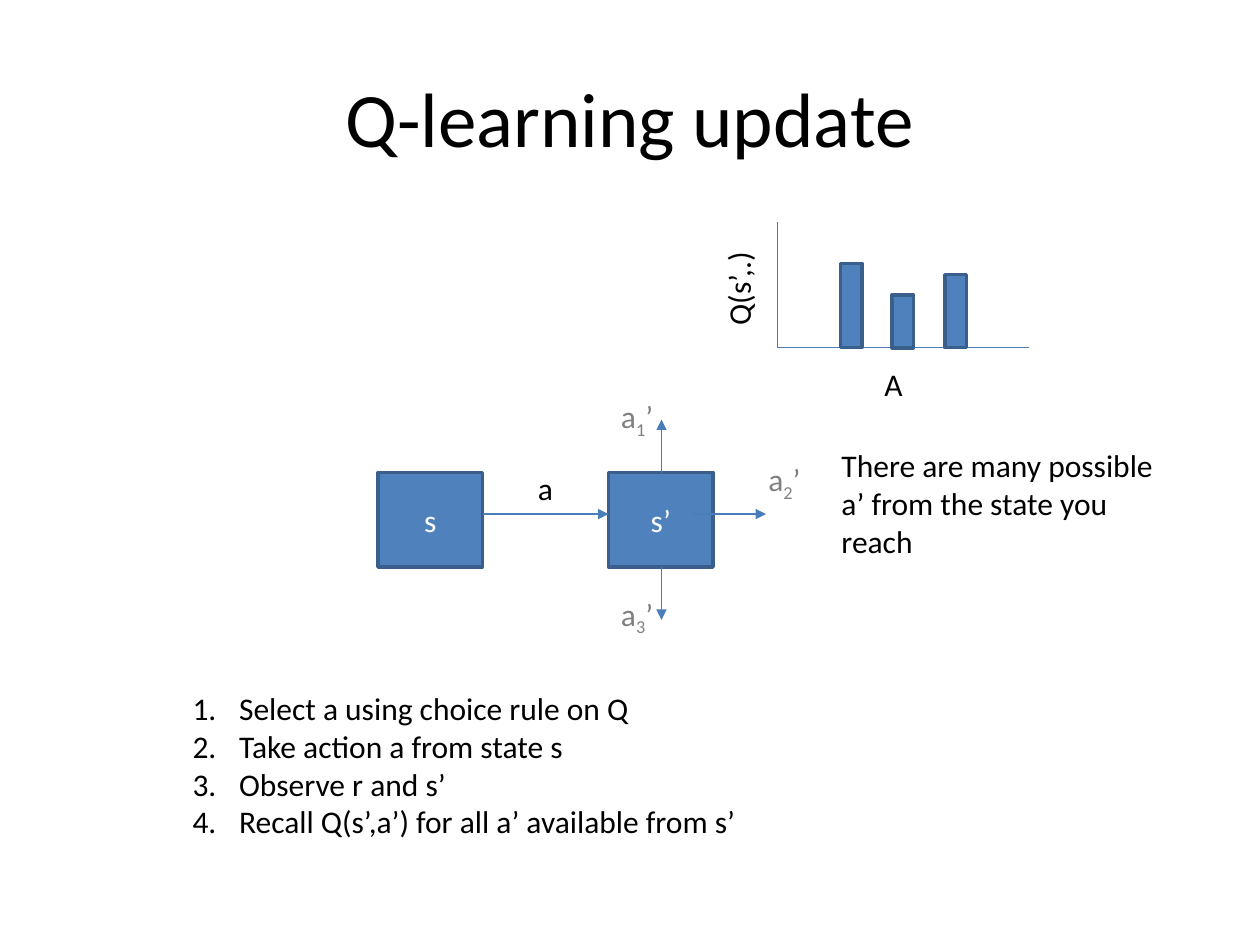
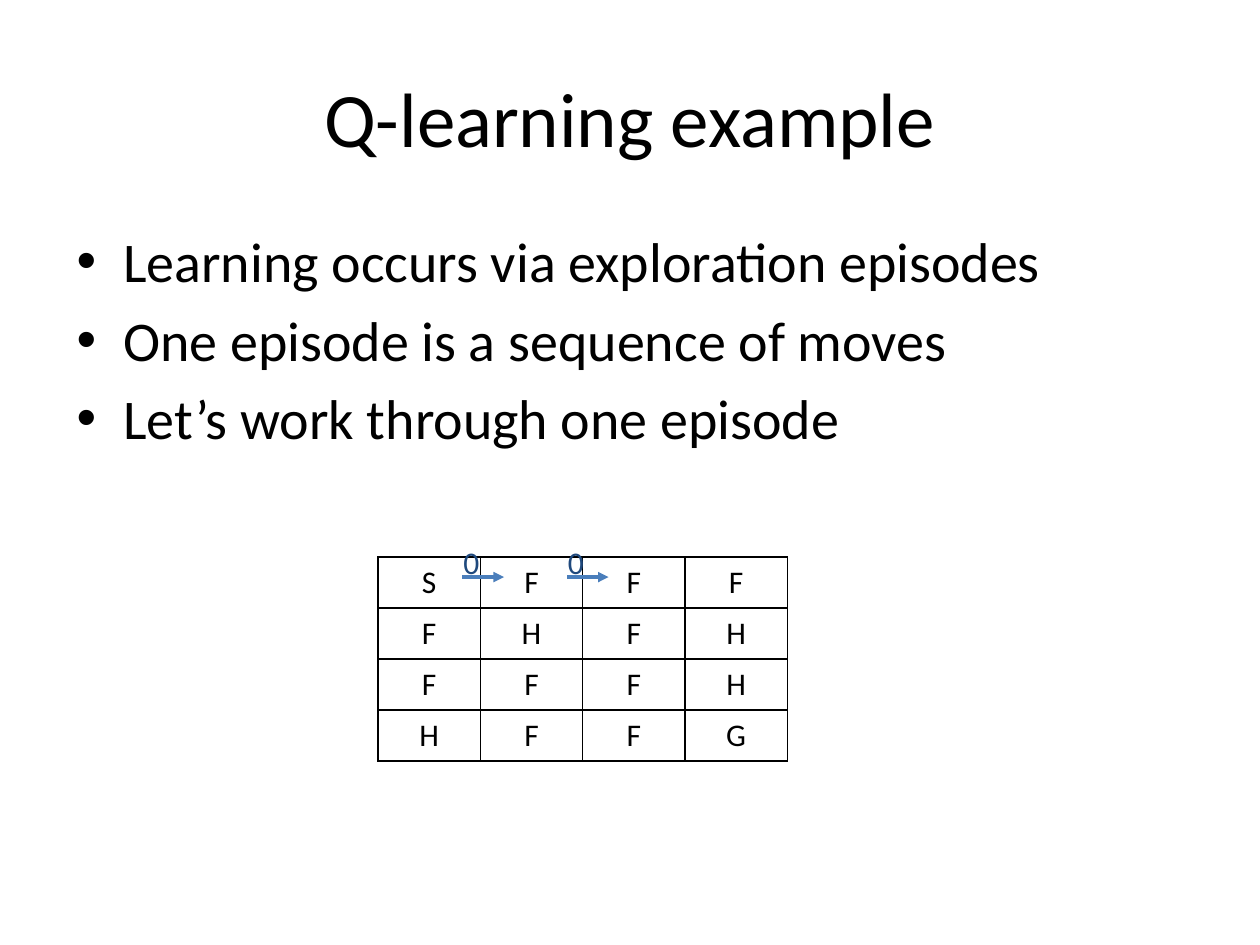
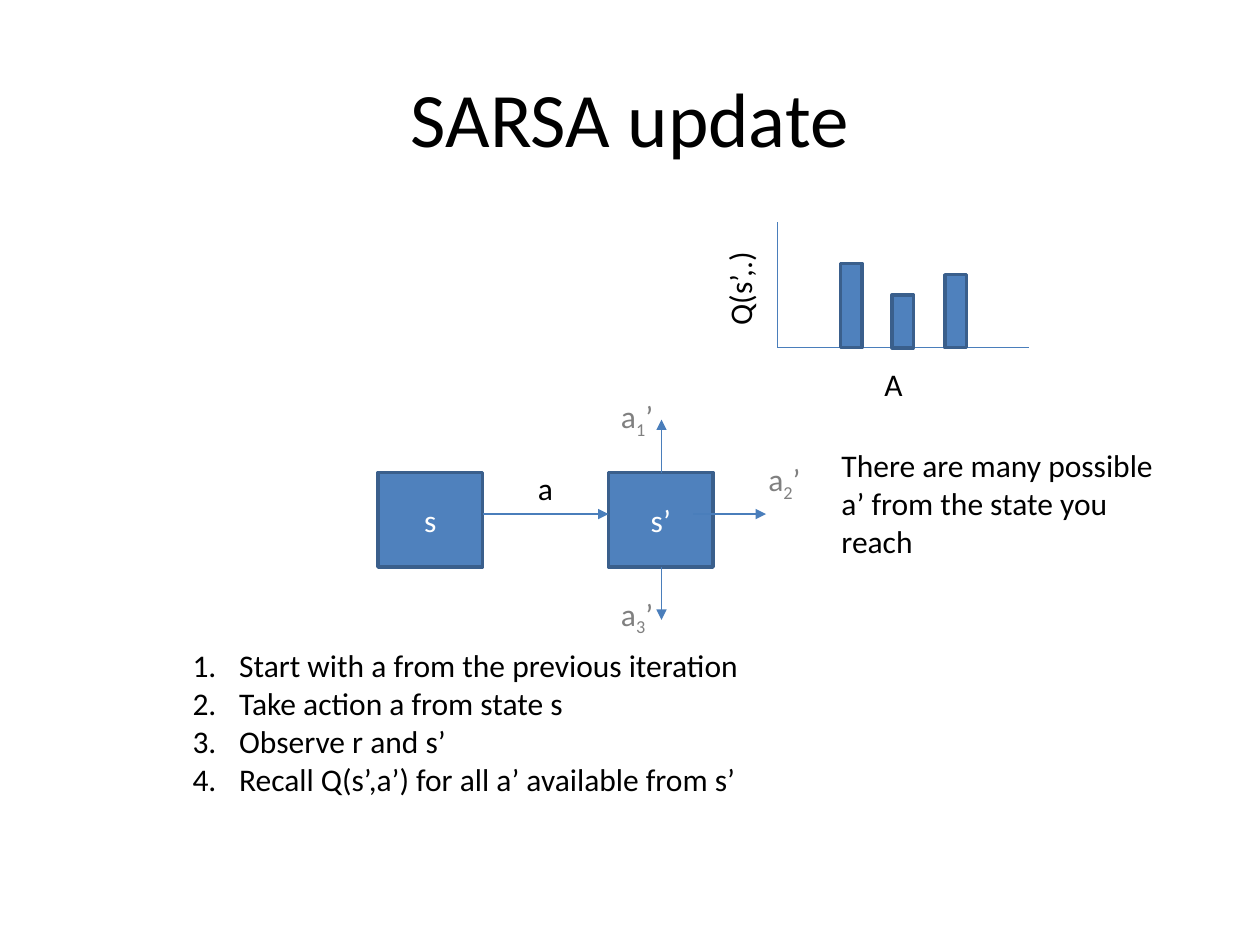
from dataclasses import dataclass

from lxml import etree
from pptx import Presentation
from pptx import util as u
from pptx.dml.color import RGBColor
from pptx.enum import shapes, text
from pptx.oxml import ns


@dataclass(frozen=True)
class Theme:
    font: str = "Calibri"
    title_size: int = 44
    body_size: int = 32
    label_size: int = 18
    ink: str = "000000"
    muted: str = "808080"
    reward: str = "1F497D"
    on_fill: str = "FFFFFF"
    fill: str = "4F81BD"
    outline: str = "3A5F8C"
    stroke: str = "4A7EBB"
    thin: float = 0.75
    thick: float = 2
    grid: float = 0.96


theme = Theme()
CENTER = text.PP_ALIGN.CENTER
MIDDLE = text.MSO_ANCHOR.MIDDLE


def write(frame, paragraphs, size=theme.label_size, color=theme.ink, align=None, bullet=None, before=None):
    """Fill a frame; a paragraph is a list of runs, and a run starting with _ is a subscript.

    bullet is the tag and attributes of the bullet element, before the space above in points.
    """
    frame.word_wrap = True
    for index, runs in enumerate(paragraphs):
        paragraph = frame.add_paragraph() if index else frame.paragraphs[0]
        paragraph.alignment = align
        if before:
            paragraph.space_before = u.Pt(before)
        if bullet:
            tag, attributes = bullet
            properties = paragraph._p.get_or_add_pPr()
            properties.set("marL", str(u.Inches(0.38)))
            properties.set("indent", str(u.Inches(-0.37)))
            etree.SubElement(properties, ns.qn("a:buFont"), typeface="Arial" if tag == "a:buChar" else "+mj-lt")
            etree.SubElement(properties, ns.qn(tag), attributes)
        for words in runs:
            run = paragraph.add_run()
            run.text = words.removeprefix("_")
            run.font.name = theme.font
            run.font.size = u.Pt(size)
            run.font.color.rgb = RGBColor.from_string(color)
            if words.startswith("_"):
                run._r.get_or_add_rPr().set("baseline", "-25000")


def draw_line(slide, x1, y1, x2, y2, width=theme.thin, arrow=True):
    line = slide.shapes.add_connector(shapes.MSO_CONNECTOR.STRAIGHT, *map(u.Inches, (x1, y1, x2, y2)))
    line.line.color.rgb = RGBColor.from_string(theme.stroke)
    line.line.width = u.Pt(width)
    if arrow:
        etree.SubElement(line.line._get_or_add_ln(), ns.qn("a:tailEnd"), type="triangle")
    etree.SubElement(line._element.spPr, ns.qn("a:effectLst"))


deck = Presentation()
deck.slide_width, deck.slide_height = u.Inches(10), u.Inches(7.5)

# Titles
slides = []
for title in ("Q-learning update", "Q-learning example", "SARSA update"):
    slide = deck.slides.add_slide(deck.slide_layouts[6])
    heading = slide.shapes.add_textbox(*map(u.Inches, (0.5, 0.3, 9, 1.25))).text_frame
    heading.vertical_anchor = MIDDLE
    write(heading, [[title]], theme.title_size, align=CENTER)
    slides.append(slide)
q_update, example, sarsa_update = slides

# Update slides: state diagram, action values and steps
updates = (
    (q_update, "Select a using choice rule on Q", 5.42, (5.27, 1.89, 1.18, 0.4)),
    (sarsa_update, "Start with a from the previous iteration", 5.08, (5.56, 1.87, 0.92, 0.7)),
)
axis_left, axis_base = 6.17, 2.76
for slide, first_step, steps_top, value_box in updates:
    for axis_end in ((axis_left + 2, axis_base), (axis_left, axis_base - 1)):
        draw_line(slide, axis_left, axis_base, *axis_end, arrow=False)

    states = [(3, 3.75, 0.83, 0.75, "s"), (4.83, 3.75, 0.83, 0.75, "s’")]
    value_bars = [
        (left, axis_base - height, 0.17, height, None)
        for left, height in ((6.67, 0.67), (7.08, 0.42), (7.5, 0.58))
    ]
    for *box, label in states + value_bars:
        block = slide.shapes.add_shape(shapes.MSO_SHAPE.RECTANGLE, *map(u.Inches, box))
        block.shadow.inherit = False
        block.fill.solid()
        block.fill.fore_color.rgb = RGBColor.from_string(theme.fill)
        block.line.color.rgb = RGBColor.from_string(theme.outline)
        block.line.width = u.Pt(theme.thick)
        if label:
            block.text_frame.vertical_anchor = MIDDLE
            write(block.text_frame, [[label]], color=theme.on_fill, align=CENTER)

    for action in (
        (5.25, 3.75, 5.25, 3.33),
        (5.5, 4.08, 6.08, 4.08),
        (5.25, 4.5, 5.25, 4.92),
        (3.83, 4.08, 4.83, 4.08),
    ):
        draw_line(slide, *action)

    for number, (left, top) in enumerate(((4.83, 3.1), (6, 3.6), (4.83, 4.67)), 1):
        next_action = slide.shapes.add_textbox(*map(u.Inches, (left, top, 0.5, 0.74)))
        write(next_action.text_frame, [["a", f"_{number}", "’"]], color=theme.muted)

    for words, box, rotation in (
        ("a", (4.17, 3.67, 0.33, 0.4), 0),
        ("There are many possible a’ from the state you reach", (6.58, 3.49, 2.75, 1), 0),
        ("Q(s’,.)", value_box, 270),
        ("A", (6.92, 2.85, 0.42, 0.4), 0),
    ):
        caption = slide.shapes.add_textbox(*map(u.Inches, box))
        caption.rotation = rotation
        write(caption.text_frame, [[words]])

    steps = [
        [first_step],
        ["Take action a from state s"],
        ["Observe r and s’"],
        ["Recall Q(s’,a’) for all a’ available from s’"],
    ]
    step_list = slide.shapes.add_textbox(*map(u.Inches, (1.42, steps_top, 6, 1.3)))
    write(step_list.text_frame, steps, bullet=("a:buAutoNum", {"type": "arabicPeriod"}))

# Example slide: points, grid world and first moves
points = [
    ["Learning occurs via exploration episodes"],
    ["One episode is a sequence of moves"],
    ["Let’s work through one episode"],
]
point_list = example.shapes.add_textbox(*map(u.Inches, (0.5, 1.75, 9, 4.95)))
write(point_list.text_frame, points, theme.body_size, bullet=("a:buChar", {"char": "•"}), before=6.4)

world = ("SFFF", "FHFH", "FFFH", "HFFG")
grid = example.shapes.add_table(4, 4, *map(u.Inches, (3, 4.42, 3.25, 1.62))).table
grid.first_row = grid.horz_banding = False
for column in grid.columns:
    column.width = u.Inches(3.25 / 4)
for row, squares in zip(grid.rows, world):
    row.height = u.Inches(1.62 / 4)
    for cell, square in zip(row.cells, squares):
        write(cell.text_frame, [[square]], align=CENTER)
        cell.fill.background()
        properties = cell._tc.get_or_add_tcPr()
        for position, side in enumerate("LRTB"):
            border = etree.Element(ns.qn(f"a:ln{side}"), w=str(u.Pt(theme.grid)))
            border_fill = etree.SubElement(border, ns.qn("a:solidFill"))
            etree.SubElement(border_fill, ns.qn("a:srgbClr"), val=theme.ink)
            properties.insert(position, border)

for move_left in (3.67, 4.5):
    draw_line(example, move_left, 4.58, move_left + 0.33, 4.58, theme.thick)
    reward = example.shapes.add_textbox(*map(u.Inches, (move_left - 0.09, 4.26, 0.33, 0.4)))
    write(reward.text_frame, [["0"]], color=theme.reward)

deck.save("out.pptx")
